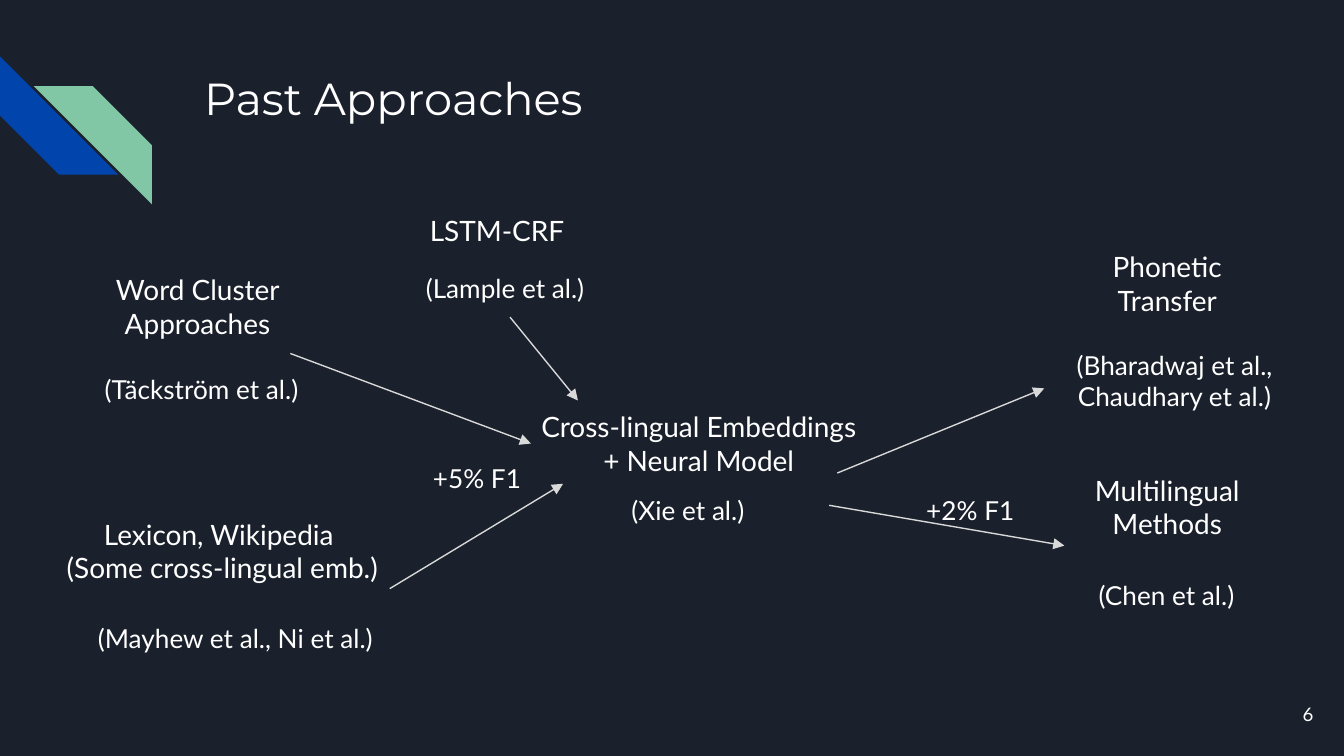
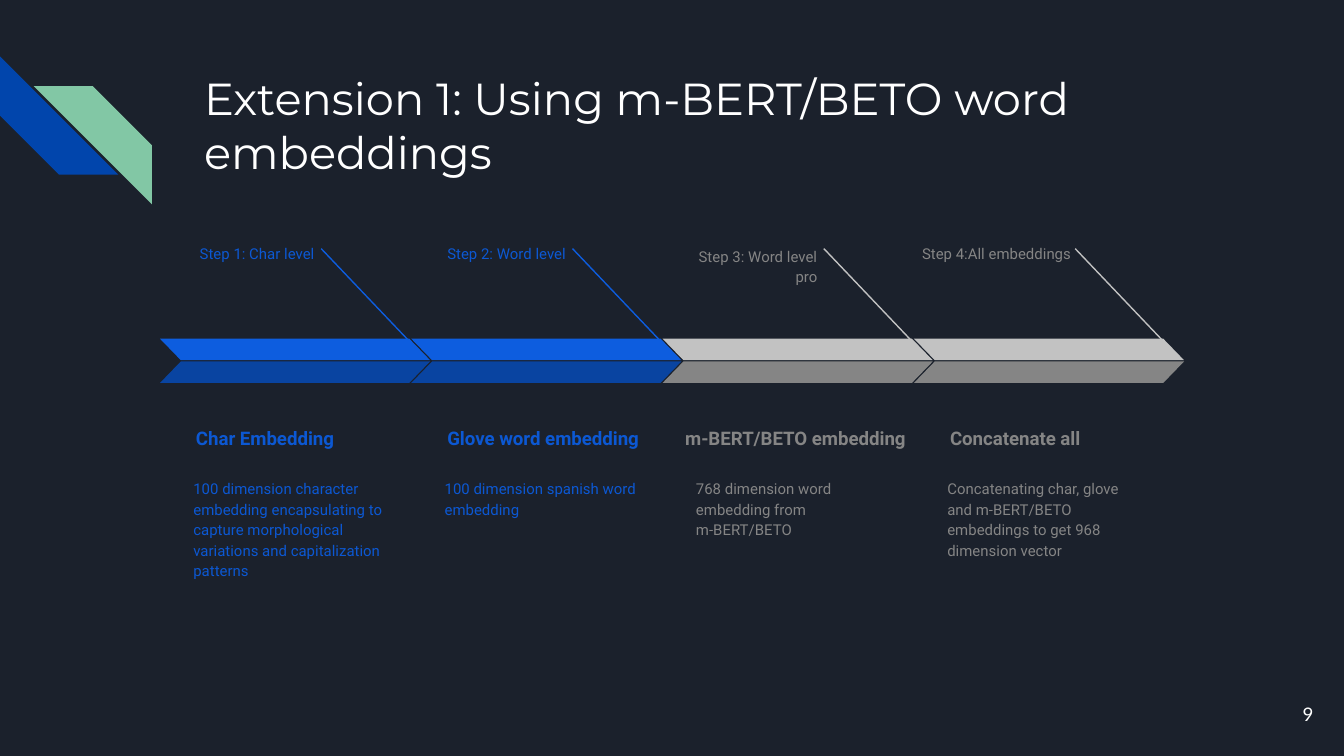
from lxml import etree
from pptx import Presentation
from pptx.dml.color import RGBColor
from pptx.enum.shapes import MSO_CONNECTOR, MSO_SHAPE
from pptx.enum.text import MSO_ANCHOR, PP_ALIGN
from pptx.oxml.ns import qn
from pptx.util import Inches, Pt

STRAIGHT = MSO_CONNECTOR.STRAIGHT
STRIPE, PARALLELOGRAM = MSO_SHAPE.DIAGONAL_STRIPE, MSO_SHAPE.PARALLELOGRAM
LEFT, CENTER, RIGHT = PP_ALIGN.LEFT, PP_ALIGN.CENTER, PP_ALIGN.RIGHT
TOP, MIDDLE, BOTTOM = MSO_ANCHOR.TOP, MSO_ANCHOR.MIDDLE, MSO_ANCHOR.BOTTOM
LEFT_SITE, BOTTOM_SITE = 1, 2

NIGHT = RGBColor(0x1B, 0x21, 0x2C)
WHITE = RGBColor(0xFF, 0xFF, 0xFF)
NAVY = RGBColor(0x01, 0x45, 0xAC)
MINT = RGBColor(0x82, 0xC7, 0xA5)
ARROW_GRAY = RGBColor(0xD9, 0xD9, 0xD9)
STEP_BLUE = RGBColor(0x0C, 0x58, 0xD3)
BRIGHT_BLUE = RGBColor(0x0D, 0x5D, 0xDF)
DEEP_BLUE = RGBColor(0x09, 0x44, 0xA1)
LIGHT_GRAY = RGBColor(0xC2, 0xC2, 0xC2)
MID_GRAY = RGBColor(0x85, 0x85, 0x85)

BLUE_THEME = (STEP_BLUE, BRIGHT_BLUE, DEEP_BLUE)
GRAY_THEME = (MID_GRAY, LIGHT_GRAY, MID_GRAY)
STEP_PITCH = 1.87

APPROACHES = [
    ("Word Cluster Approaches", 0.21, 0.44, 1.94, 0.43, 15, CENTER),
    ("(Täckström et al.)", 0.39, 1.19, 1.94, 0.43, 14, LEFT),
    ("Lexicon, Wikipedia \n(Some cross-lingual emb.)", 0, 2.26, 2.73, 0.43, 15, CENTER),
    ("(Mayhew et al., Ni et al.)", 0.34, 3.04, 2.27, 0.5, 14, LEFT),
    ("LSTM-CRF", 2.81, 0, 1.39, 0.38, 15, LEFT),
    ("Cross-lingual Embeddings + Neural Model", 3.58, 1.46, 2.66, 0.78, 15, CENTER),
    ("(Xie et al.)", 4.31, 2.09, 1.32, 0.78, 14, LEFT),
    ("Phonetic Transfer", 7.67, 0.27, 1.45, 0.78, 15, CENTER),
    ("Multilingual\vMethods", 7.67, 1.93, 1.45, 0.78, 15, CENTER),
    ("(Chen et al.)", 7.42, 2.72, 1.94, 0.78, 14, CENTER),
    ("+5% F1", 2.78, 1.85, 0.96, 0.38, 14, CENTER),
    ("+2% F1", 6.45, 2.09, 0.96, 0.38, 14, CENTER),
]
LAMPLE = ("(Lample et al.)", 2.78, 0.44, 1.45, 0.43, 14, LEFT)
BHARADWAJ = ("(Bharadwaj et al., Chaudhary et al.)", 7.48, 1.01, 1.94, 0.78, 14, CENTER)
FREE_ARROWS = [
    (1.87, 1.14, 3.66, 1.81),
    (2.61, 2.89, 3.9, 2.11),
    (5.88, 2.27, 7.63, 2.57),
]

STEPS = [
    (BLUE_THEME, ("Step 1: Char level", 0.14, 1.11), ("Char Embedding", 0.17, 1.65),
     "100 dimension character embedding encapsulating to capture morphological "
     "variations and capitalization patterns"),
    (BLUE_THEME, ("Step 2: Word level", 0, 1.25), ("Glove word embedding", 0.17, 1.65),
     "100 dimension spanish word embedding"),
    (GRAY_THEME, ("Step 3: Word level pro", 0.07, 1.18), ("m-BERT/BETO embedding", 0.07, 1.86),
     "768 dimension word embedding from m-BERT/BETO"),
    (GRAY_THEME, ("Step 4:All embeddings", -0.07, 1.34), ("Concatenate all", 0.17, 1.65),
     "Concatenating char, glove and m-BERT/BETO embeddings to get 968 dimension vector"),
]


def add_text(slide, text, left, top, width, height, size, align=LEFT, font="Lato",
             color=WHITE, anchor=TOP, bold=False, spacing=1.0, after=0):
    """Add a wrapped text box with even insets and return it."""
    box = slide.shapes.add_textbox(Inches(left), Inches(top), Inches(width), Inches(height))
    frame = box.text_frame
    frame.word_wrap = True
    frame.vertical_anchor = anchor
    frame.margin_left = frame.margin_right = Inches(0.1)
    frame.margin_top = frame.margin_bottom = Inches(0.1)
    frame.text = text
    for paragraph in frame.paragraphs:
        paragraph.alignment = align
        paragraph.line_spacing = spacing
        paragraph.space_after = Pt(after)
        for run in paragraph.runs:
            run.font.name = font
            run.font.size = Pt(size)
            run.font.bold = bold
            run.font.color.rgb = color
    return box


def add_solid(slide, preset, left, top, width, height, color, adjustment, flip=False):
    """Add a filled preset shape without outline and return it."""
    solid = slide.shapes.add_shape(
        preset, Inches(left), Inches(top), Inches(width), Inches(height))
    solid.adjustments[0] = adjustment
    solid.shadow.inherit = False
    solid.fill.solid()
    solid.fill.fore_color.rgb = color
    solid.line.fill.background()
    if flip:
        solid._element.spPr.find(qn("a:xfrm")).set("flipH", "1")
    return solid


def add_line(slide, x1, y1, x2, y2, color, arrow=False):
    """Add a thin straight line, optionally with an arrowhead at its end."""
    line = slide.shapes.add_connector(
        STRAIGHT, Inches(x1), Inches(y1), Inches(x2), Inches(y2))
    line.line.color.rgb = color
    line.line.width = Pt(0.75)
    if arrow:
        etree.SubElement(line.line._get_or_add_ln(), qn("a:tailEnd"), type="triangle")
    etree.SubElement(line._element.spPr, qn("a:effectLst"))
    return line


def add_stripes(slide, left, top):
    """Draw the two diagonal stripes beside the title."""
    navy = add_solid(slide, STRIPE, left, top, 0.88, 0.88, NAVY, 0.5)
    navy.rotation = 270
    add_solid(slide, STRIPE, left + 0.25, top + 0.22, 0.88, 0.88, MINT, 0.5, flip=True)


def add_base_slide(prs, title, number):
    """Add a slide with the shared background, stripes, title and number."""
    slide = prs.slides.add_slide(prs.slide_layouts[6])
    slide.background.fill.solid()
    slide.background.fill.fore_color.rgb = NIGHT
    add_stripes(slide, 0, 0.42)
    add_text(slide, title, 1.42, 0.43, 7.7, 1, 24, font="Montserrat")
    add_text(slide, number, 9.27, 5.1, 0.6, 0.43, 10, RIGHT, anchor=MIDDLE)
    return slide


def add_approach_map(slide, left, top):
    """Draw the past approaches and the arrows between them."""
    def place(label):
        text, x, y, *rest = label
        return add_text(slide, text, left + x, top + y, *rest)

    def point(x1, y1, x2, y2):
        return add_line(slide, left + x1, top + y1, left + x2, top + y2, ARROW_GRAY, arrow=True)

    for label in APPROACHES:
        place(label)
    lample, bharadwaj = place(LAMPLE), place(BHARADWAJ)
    for ends in FREE_ARROWS:
        point(*ends)
    point(3.5, 0.87, 4.01, 1.49).begin_connect(lample, BOTTOM_SITE)
    point(5.94, 2.03, 7.48, 1.4).end_connect(bharadwaj, LEFT_SITE)


def add_step(slide, left, top, step):
    """Draw one step: label, slanted line, two-part chevron, heading and details."""
    (ink, upper, lower), (label, label_x, label_width), (heading, heading_x, heading_width), details = step
    style = {"font": "Roboto", "color": ink, "spacing": 1.15}
    add_text(slide, label, left + label_x, top, label_width, 0.26, 8, RIGHT, after=16, **style)
    add_text(slide, heading, left + heading_x, top + 1.23, heading_width, 0.49, 10,
             anchor=BOTTOM, bold=True, **style)
    add_text(slide, details, left + 0.15, top + 1.73, 1.68, 0.81, 8, after=16, **style)
    add_line(slide, left + 1.2, top + 0.13, left + 1.98, top + 0.95, upper)
    add_solid(slide, PARALLELOGRAM, left, top + 0.8, 2.01, 0.16, upper, 0.97, flip=True)
    add_solid(slide, PARALLELOGRAM, left, top + 0.97, 2.01, 0.16, lower, 0.97)


def main():
    """Build both slides and save the presentation."""
    prs = Presentation()
    prs.slide_width, prs.slide_height = Inches(10), Inches(10 * 9 / 16)
    past = add_base_slide(prs, "Past Approaches", "6")
    add_approach_map(past, 0.29, 1.49)
    extension = add_base_slide(prs, "Extension 1: Using m-BERT/BETO word embeddings", "9")
    for index, step in enumerate(STEPS):
        add_step(extension, 1.19 + index * STEP_PITCH, 1.72, step)
    prs.save("out.pptx")


if __name__ == "__main__":
    main()
